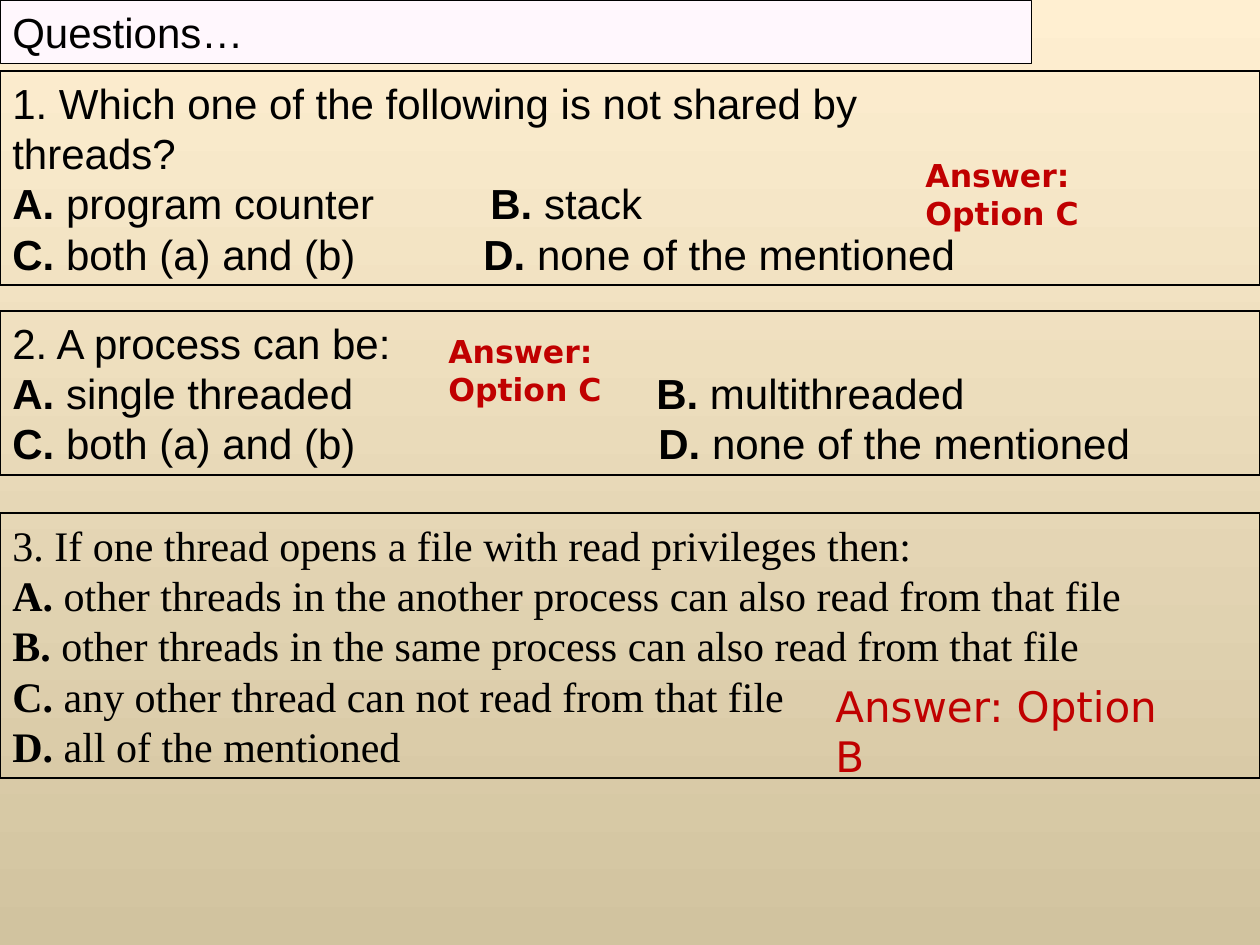
"""Build the quiz slide about threads, with three questions and their answers."""
from lxml.etree import SubElement
from pptx import Presentation
from pptx.dml.color import RGBColor
from pptx.enum.shapes import MSO_SHAPE as Shape
from pptx.enum.text import MSO_ANCHOR as Anchor, PP_ALIGN as Align
from pptx.oxml.ns import qn
from pptx.util import Emu, Pt

SCALE = 914400 / 126
BLACK = RGBColor(0x00, 0x00, 0x00)
RED = RGBColor(0xC0, 0x00, 0x00)
PALE_PINK = RGBColor(0xFF, 0xF7, 0xFD)
CREAM = RGBColor(0xFF, 0xEF, 0xD1)
TAN = RGBColor(0xD1, 0xC3, 0x9F)


def px(length):
    return Emu(round(length * SCALE))


def write_rows(frame, rows, font, size, color, bold=False):
    frame.word_wrap = True
    frame.vertical_anchor = Anchor.TOP
    for number, (second_column, pieces) in enumerate(rows):
        line = frame.paragraphs[0] if number == 0 else frame.add_paragraph()
        line.alignment = Align.LEFT
        if second_column:
            tabs = SubElement(line._p.get_or_add_pPr(), qn("a:tabLst"))
            SubElement(tabs, qn("a:tab"), pos=str(px(second_column)), algn="l")
        for piece in pieces:
            run = line.add_run()
            run.text = piece
            run.font.name = font
            run.font.size = Pt(size)
            run.font.bold = bold or piece in ("A.", "B.", "C.", "D.")
            run.font.color.rgb = color


deck = Presentation()
deck.slide_width, deck.slide_height = px(1260), px(945)
slide = deck.slides.add_slide(deck.slide_layouts[6])

backdrop = slide.background.fill
backdrop.gradient()
backdrop.gradient_angle = 270
for stop, position, color in zip(backdrop.gradient_stops, (0, 1), (CREAM, TAN)):
    stop.position = position
    stop.color.rgb = color

heading = [(0, ["Questions…"])]
shared_question = [
    (0, ["1. Which one of the following is not shared by"]),
    (0, ["threads?"]),
    (478, ["A.", " program counter\t", "B.", " stack"]),
    (471, ["C.", " both (a) and (b)\t", "D.", " none of the mentioned"]),
]
process_question = [
    (0, ["2. A process can be:"]),
    (644, ["A.", " single threaded\t", "B.", " multithreaded"]),
    (646, ["C.", " both (a) and (b)\t", "D.", " none of the mentioned"]),
]
file_question = [
    (0, ["3. If one thread opens a file with read privileges then:"]),
    (0, ["A.", " other threads in the another process can also read from that file"]),
    (0, ["B.", " other threads in the same process can also read from that file"]),
    (0, ["C.", " any other thread can not read from that file"]),
    (0, ["D.", " all of the mentioned"]),
]

panels = [
    (0, 1031, 63, PALE_PINK, 0.25, "Arial", heading),
    (71, 1260, 214, None, 0.75, "Arial", shared_question),
    (311, 1260, 164, None, 0.75, "Arial", process_question),
    (513, 1260, 265, None, 0.75, "Times New Roman", file_question),
]
for top, width, height, fill, outline, font, rows in panels:
    panel = slide.shapes.add_shape(Shape.RECTANGLE, 0, px(top), px(width), px(height))
    panel.shadow.inherit = False
    if fill:
        panel.fill.solid()
        panel.fill.fore_color.rgb = fill
    else:
        panel.fill.background()
    panel.line.color.rgb = BLACK
    panel.line.width = Pt(outline)
    write_rows(panel.text_frame, rows, font, 24, BLACK)

answers = [
    (913, 150, 297, 50, 18, True, "Answer: Option C"),
    (436, 326, 297, 50, 18, True, "Answer: Option C"),
    (823, 674, 368, 63, 24, False, "Answer: Option B"),
]
for left, top, width, height, size, bold, wording in answers:
    answer = slide.shapes.add_textbox(px(left), px(top), px(width), px(height))
    write_rows(answer.text_frame, [(0, [wording])], "DejaVu Sans", size, RED, bold)

deck.save("out.pptx")
